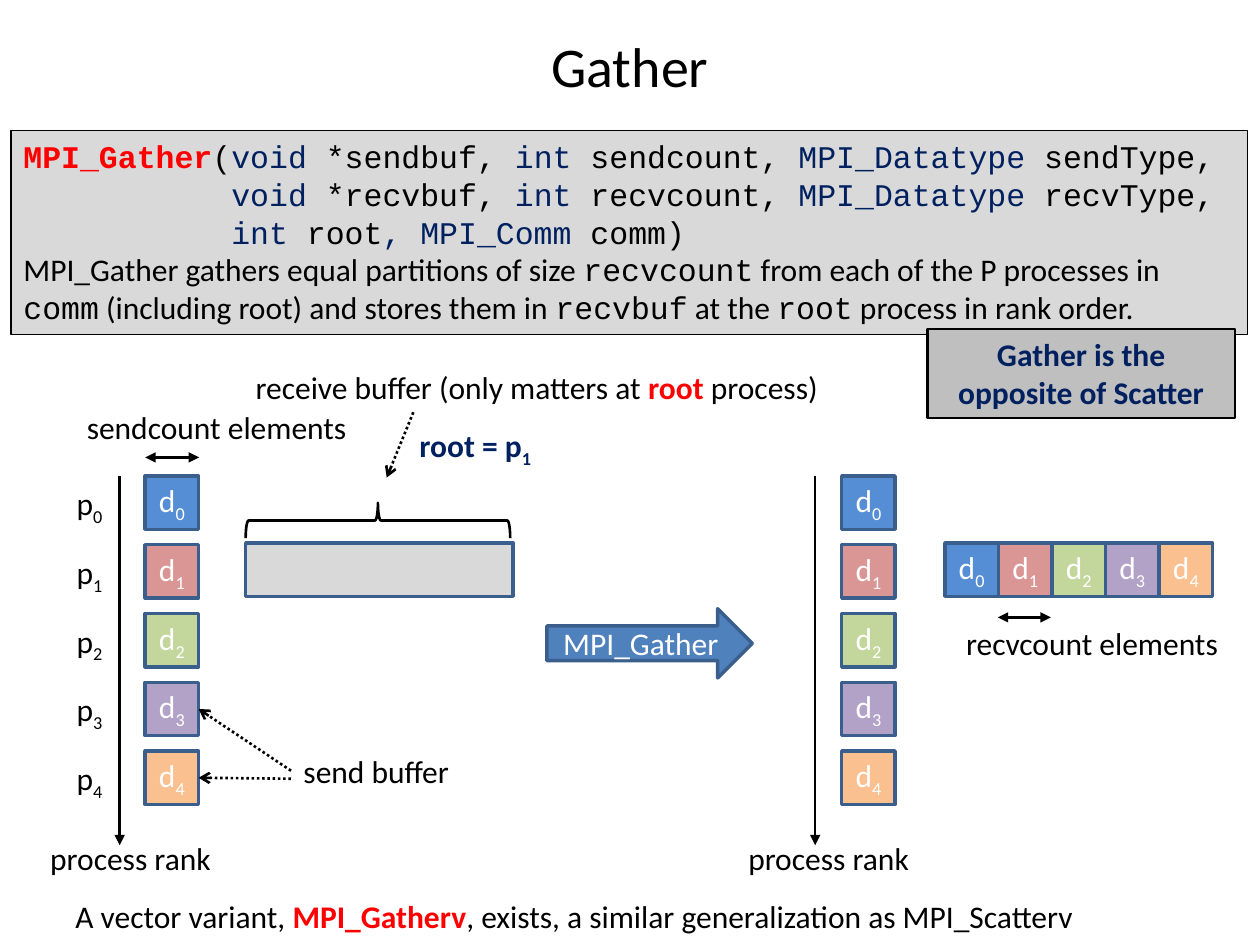
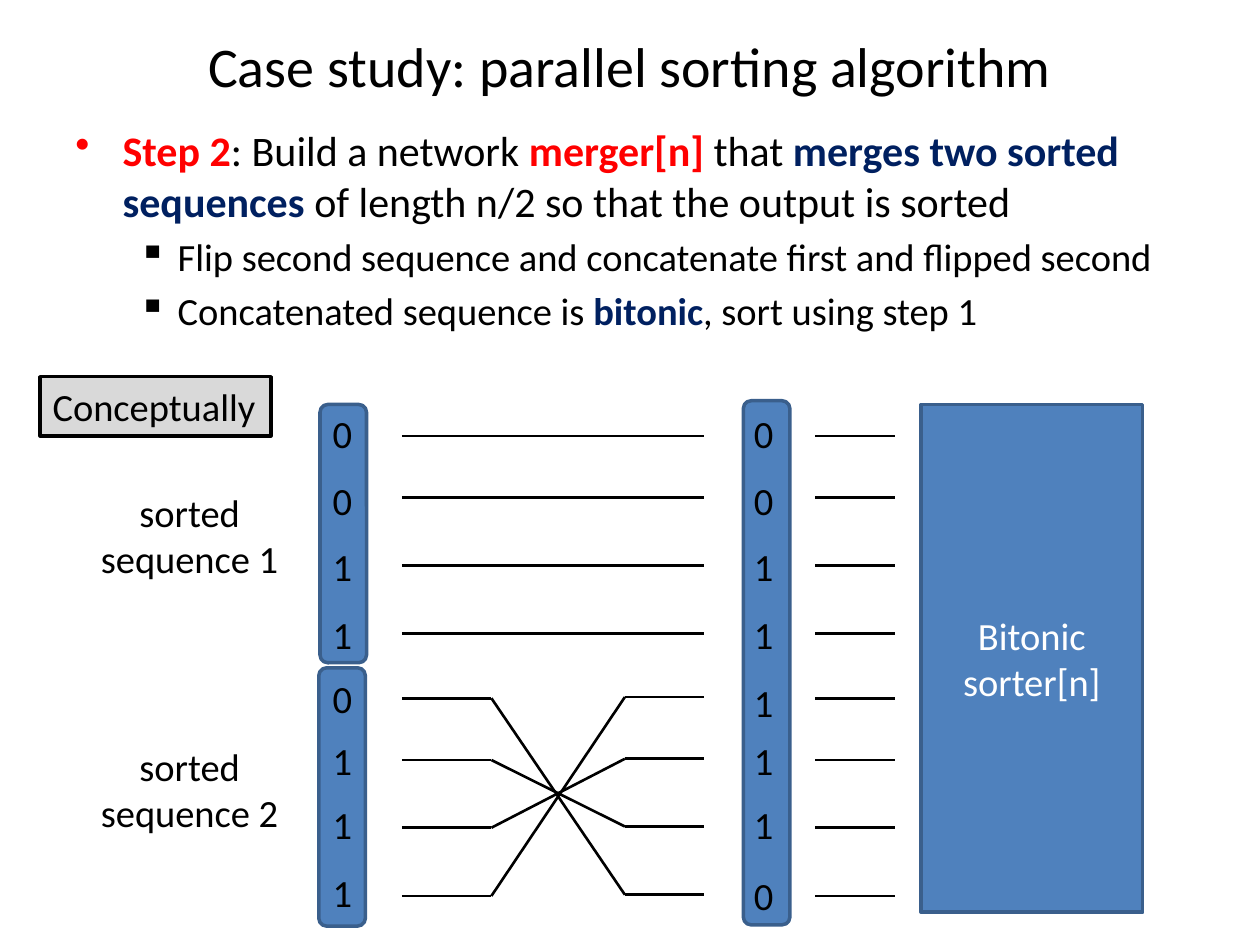
from dataclasses import dataclass
from typing import NamedTuple, Optional, Sequence

from lxml import etree
from pptx import Presentation
from pptx.dml.color import RGBColor
from pptx.enum.dml import MSO_LINE
from pptx.enum.shapes import MSO_CONNECTOR, MSO_SHAPE
from pptx.enum.text import MSO_ANCHOR, MSO_AUTO_SIZE, PP_ALIGN
from pptx.oxml.ns import qn
from pptx.shapes.autoshape import Shape
from pptx.shapes.connector import Connector
from pptx.slide import Slide
from pptx.util import Pt

RECTANGLE = MSO_SHAPE.RECTANGLE
ROUNDED = MSO_SHAPE.ROUNDED_RECTANGLE
RIGHT_ARROW = MSO_SHAPE.RIGHT_ARROW
RIGHT_BRACE = MSO_SHAPE.RIGHT_BRACE
LEFT, CENTER = PP_ALIGN.LEFT, PP_ALIGN.CENTER
TOP, MIDDLE = MSO_ANCHOR.TOP, MSO_ANCHOR.MIDDLE
DOTTED = MSO_LINE.ROUND_DOT
LEFT_SIDE, RIGHT_SIDE = 1, 3


@dataclass(frozen=True)
class Theme:
    black: str = "000000"
    white: str = "FFFFFF"
    red: str = "FF0000"
    navy: str = "002060"
    blue: str = "4F81BD"
    outline: str = "3A5F8C"
    panel: str = "D9D9D9"
    note: str = "BFBFBF"
    tiles: tuple[str, ...] = ("558ED5", "D99694", "C3D69B", "B3A2C7", "FAC090")
    sans: str = "Calibri"
    mono: str = "Courier New"
    title: float = 32
    lead: float = 24
    sub: float = 22
    label: float = 18
    thin: float = 0.75
    line: float = 1.5
    border: float = 2


THEME = Theme()


class Frame(NamedTuple):
    left: float
    top: float
    width: float
    height: float


class Span(NamedTuple):
    text: str
    color: str = THEME.black
    bold: bool = False
    font: str = THEME.sans
    lowered: bool = False


class Bullet(NamedTuple):
    mark: str
    margin: float
    hanging: float
    size: float
    before: float


class Wire(NamedTuple):
    x1: float
    y1: float
    x2: float
    y2: float


Line = Sequence[Span]


def code(text: str, color: str = THEME.black, bold: bool = False) -> Span:
    return Span(text, color, bold, THEME.mono)


def indexed(name: str, index: int, color: str = THEME.black, bold: bool = False) -> Line:
    return [Span(name, color, bold), Span(str(index), color, bold, lowered=True)]


def write(box: Shape, lines: Sequence[Line], size: float, align: PP_ALIGN = LEFT,
          anchor: MSO_ANCHOR = TOP, wrap: bool = True,
          bullets: Sequence[Bullet] = ()) -> None:
    frame = box.text_frame
    frame.word_wrap = wrap
    frame.vertical_anchor = anchor
    for number, line in enumerate(lines):
        para = frame.add_paragraph() if number else frame.paragraphs[0]
        para.alignment = align
        if bullets:
            add_bullet(para, bullets[number])
        for span in line:
            run = para.add_run()
            run.text = span.text
            run.font.size = Pt(bullets[number].size if bullets else size)
            run.font.name = span.font
            run.font.bold = span.bold
            run.font.color.rgb = RGBColor.from_string(span.color)
            if span.lowered:
                run.font._element.set("baseline", "-25000")


def add_bullet(para, bullet: Bullet) -> None:
    properties = para._p.get_or_add_pPr()
    properties.set("marL", str(Pt(bullet.margin)))
    properties.set("indent", str(-Pt(bullet.hanging)))
    etree.SubElement(properties, qn("a:buChar")).set("char", bullet.mark)
    para.space_before = Pt(bullet.before)


def add_text(page: Slide, frame: Frame, lines: Sequence[Line], size: float = THEME.label,
             align: PP_ALIGN = LEFT, anchor: MSO_ANCHOR = TOP, wrap: bool = False,
             bullets: Sequence[Bullet] = ()) -> Shape:
    box = page.shapes.add_textbox(*map(Pt, frame))
    write(box, lines, size, align, anchor, wrap, bullets)
    if not wrap:
        box.text_frame.auto_size = MSO_AUTO_SIZE.SHAPE_TO_FIT_TEXT
    return box


def add_shape(page: Slide, frame: Frame, fill: Optional[str], kind: MSO_SHAPE = RECTANGLE,
              line: str = THEME.outline, weight: float = THEME.border) -> Shape:
    shape = page.shapes.add_shape(kind, *map(Pt, frame))
    shape.shadow.inherit = False
    if fill:
        shape.fill.solid()
        shape.fill.fore_color.rgb = RGBColor.from_string(fill)
    else:
        shape.fill.background()
    shape.line.color.rgb = RGBColor.from_string(line)
    shape.line.width = Pt(weight)
    return shape


def add_wire(page: Slide, wire: Wire, head: str = "", tail: str = "",
             dotted: bool = False) -> Connector:
    connector = page.shapes.add_connector(MSO_CONNECTOR.STRAIGHT, *map(Pt, wire))
    connector.line.color.rgb = RGBColor.from_string(THEME.black)
    connector.line.width = Pt(THEME.line)
    if dotted:
        connector.line.dash_style = DOTTED
    outline = connector.line._get_or_add_ln()
    for tag, kind in (("a:headEnd", head), ("a:tailEnd", tail)):
        if kind:
            etree.SubElement(outline, qn(tag)).set("type", kind)
    etree.SubElement(connector._element.spPr, qn("a:effectLst"))
    return connector


def add_page(deck, title: str) -> Slide:
    page = deck.slides.add_slide(deck.slide_layouts[6])
    add_text(page, Frame(36, 12.2, 648, 50.4), [[Span(title)]], THEME.title,
             CENTER, MIDDLE, wrap=True)
    return page


def add_tile(page: Slide, left: float, top: float, index: int) -> Shape:
    tile = add_shape(page, Frame(left, top, 30.5, 30.5), THEME.tiles[index])
    write(tile, [indexed("d", index, THEME.white)], THEME.label, CENTER, MIDDLE, wrap=False)
    return tile


def add_process_column(page: Slide, axis: float, tiles: float, label: float) -> list[Shape]:
    add_wire(page, Wire(axis, 272, axis, 483), tail="triangle")
    add_text(page, Frame(label, 476, 107, 29), [[Span("process rank")]])
    return [add_tile(page, tiles, 272 + 39.3 * index, index)
            for index in range(len(THEME.tiles))]


def build_gather(deck) -> None:
    page = add_page(deck, "Gather")
    red, navy = THEME.red, THEME.navy
    indent = " " * len("MPI_Gather(")
    signature = add_shape(page, Frame(6.3, 74.7, 706.5, 116.6), THEME.panel,
                          line=THEME.black, weight=THEME.thin)
    write(signature, [
        [code("MPI_Gather", red, True), code("("), code("void", navy), code(" *sendbuf, "),
         code("int ", navy), code("sendcount, "), code("MPI_Datatype ", navy), code("sendType,")],
        [code(indent), code("void", navy), code(" *recvbuf, "), code("int ", navy),
         code("recvcount, "), code("MPI_Datatype ", navy), code("recvType,")],
        [code(indent), code("int", navy), code(" root"), code(", MPI_Comm", navy),
         code(" comm)")],
        [Span("MPI_Gather gathers equal partitions of size "), code("recvcount"),
         Span(" from each of the P processes in "), code("comm"),
         Span(" (including root) and stores them in "), code("recvbuf"),
         Span(" at the "), code("root"), Span(" process in rank order.")],
    ], THEME.label)

    senders = add_process_column(page, axis=68.4, tiles=83, label=21.6)
    add_process_column(page, axis=465.8, tiles=481, label=420.5)
    for index in range(len(THEME.tiles)):
        add_text(page, Frame(36.7, 273 + 39.3 * index, 30.2, 29), [indexed("p", index)])
        add_tile(page, 540 + 30.6 * index, 310.3, index)

    add_shape(page, Frame(140.4, 310.3, 152.9, 30.5), THEME.panel)
    brace = add_shape(page, Frame(205.9, 221.8, 20.2, 151.2), None, RIGHT_BRACE,
                      THEME.black, THEME.line)
    brace.rotation = 270
    add_text(page, Frame(139, 206.6, 340, 29),
             [[Span("receive buffer (only matters at "), Span("root", red, True),
               Span(" process)")]])
    add_wire(page, Wire(236.2, 235.6, 221, 272.9), tail="arrow", dotted=True)
    add_text(page, Frame(232.6, 239.8, 82, 29), [indexed("root = p", 1, navy, True)])

    add_text(page, Frame(42.5, 229.7, 165, 29), [[Span("sendcount elements")]])
    add_wire(page, Wire(83, 261.4, 113.8, 261.4), "triangle", "triangle")
    add_text(page, Frame(545, 352.8, 160.6, 29), [[Span("recvcount elements")]])
    add_wire(page, Wire(570.2, 352.8, 600.5, 352.8), "triangle", "triangle")

    label = add_text(page, Frame(166.3, 425.9, 99.4, 29), [[Span("send buffer")]])
    upper = add_wire(page, Wire(166.3, 440.4, 113.5, 405.2), tail="arrow", dotted=True)
    upper.begin_connect(label, LEFT_SIDE)
    upper.end_connect(senders[3], RIGHT_SIDE)
    lower = add_wire(page, Wire(166.3, 445, 113.5, 444.5), tail="arrow", dotted=True)
    lower.end_connect(senders[4], RIGHT_SIDE)

    arrow = add_shape(page, Frame(312.5, 347.8, 117.4, 39.6), THEME.blue, RIGHT_ARROW)
    write(arrow, [[Span("MPI_Gather", THEME.white)]], THEME.label, CENTER, MIDDLE, wrap=False)
    remark = add_shape(page, Frame(530, 188, 175.7, 51), THEME.note,
                       line=THEME.black, weight=THEME.line)
    write(remark, [[Span("Gather is the opposite of Scatter", navy, True)]],
          THEME.label, CENTER)
    add_text(page, Frame(36, 509, 610.6, 29),
             [[Span("A vector variant, "), Span("MPI_Gatherv", red, True),
               Span(", exists, a similar generalization as MPI_Scatterv")]])


def add_digits(page: Slide, left: float, tops: Sequence[float], digits: str) -> None:
    for top, digit in zip(tops, digits):
        add_text(page, Frame(left, top, 25.9, 33.8), [[Span(digit)]], THEME.sub)


def build_sorting(deck) -> None:
    page = add_page(deck, "Case study: parallel sorting algorithm")
    red, navy = THEME.red, THEME.navy
    first = Bullet("•", 27, 27, THEME.lead, 0)
    second = Bullet("▪", 58.5, 22.5, THEME.sub, 4.4)
    add_text(page, Frame(36, 67.7, 648, 132.5), [
        [Span("Step 2", red, True), Span(": Build a network "), Span("merger[n]", red, True),
         Span(" that "), Span("merges two sorted sequences", navy, True),
         Span(" of length n/2 so that the output is sorted")],
        [Span("Flip second sequence and concatenate first and flipped second")],
        [Span("Concatenated sequence is "), Span("bitonic", navy, True),
         Span(", sort using step 1")],
    ], wrap=True, bullets=[first, second, second])

    tag = add_shape(page, Frame(23, 215.3, 131.8, 33.8), THEME.panel, line=THEME.black)
    write(tag, [[Span("Conceptually")]], THEME.sub, wrap=False)

    for number, top in enumerate((275.8, 421.2), start=1):
        add_text(page, Frame(49.7, top, 117.4, 60.5),
                 [[Span("sorted")], [Span(f"sequence {number}")]], THEME.sub, CENTER)
    for frame in (Frame(182.2, 381.6, 26.6, 147.6), Frame(182.9, 231.1, 26.6, 147.6),
                  Frame(424.8, 229, 26.6, 299.5)):
        add_shape(page, frame, THEME.blue, ROUNDED)
    add_digits(page, 183, (231, 269.2, 306.8, 345.6, 382.3, 417.6, 454.3, 493.2), "00110111")
    add_digits(page, 423.7, (231, 269.2, 306.8, 345.6, 384.5, 417.6, 454.3, 494.6), "00111110")

    start, bend, unbend, end = 229.7, 280.8, 357.1, 402.5
    straight = (249.1, 284.4, 323.3, 362)
    crossed = (399, 434.3, 473, 512)
    for level in straight:
        add_wire(page, Wire(start, level, end, level))
    for level, target in zip(crossed, reversed(crossed)):
        landing = target - 0.7
        add_wire(page, Wire(start, level, bend, level))
        add_wire(page, Wire(bend, level, unbend, landing))
        add_wire(page, Wire(unbend, landing, end, landing))
    for level in straight + crossed:
        add_wire(page, Wire(465.8, level, 511.2, level))

    sorter = add_shape(page, Frame(526.3, 231.1, 126.7, 290.2), THEME.blue)
    write(sorter, [[Span("Bitonic sorter[n]", THEME.white)]], THEME.sub, CENTER, MIDDLE)


def main() -> None:
    deck = Presentation()
    deck.slide_width, deck.slide_height = Pt(720), Pt(540)
    build_gather(deck)
    build_sorting(deck)
    deck.save("out.pptx")


if __name__ == "__main__":
    main()
